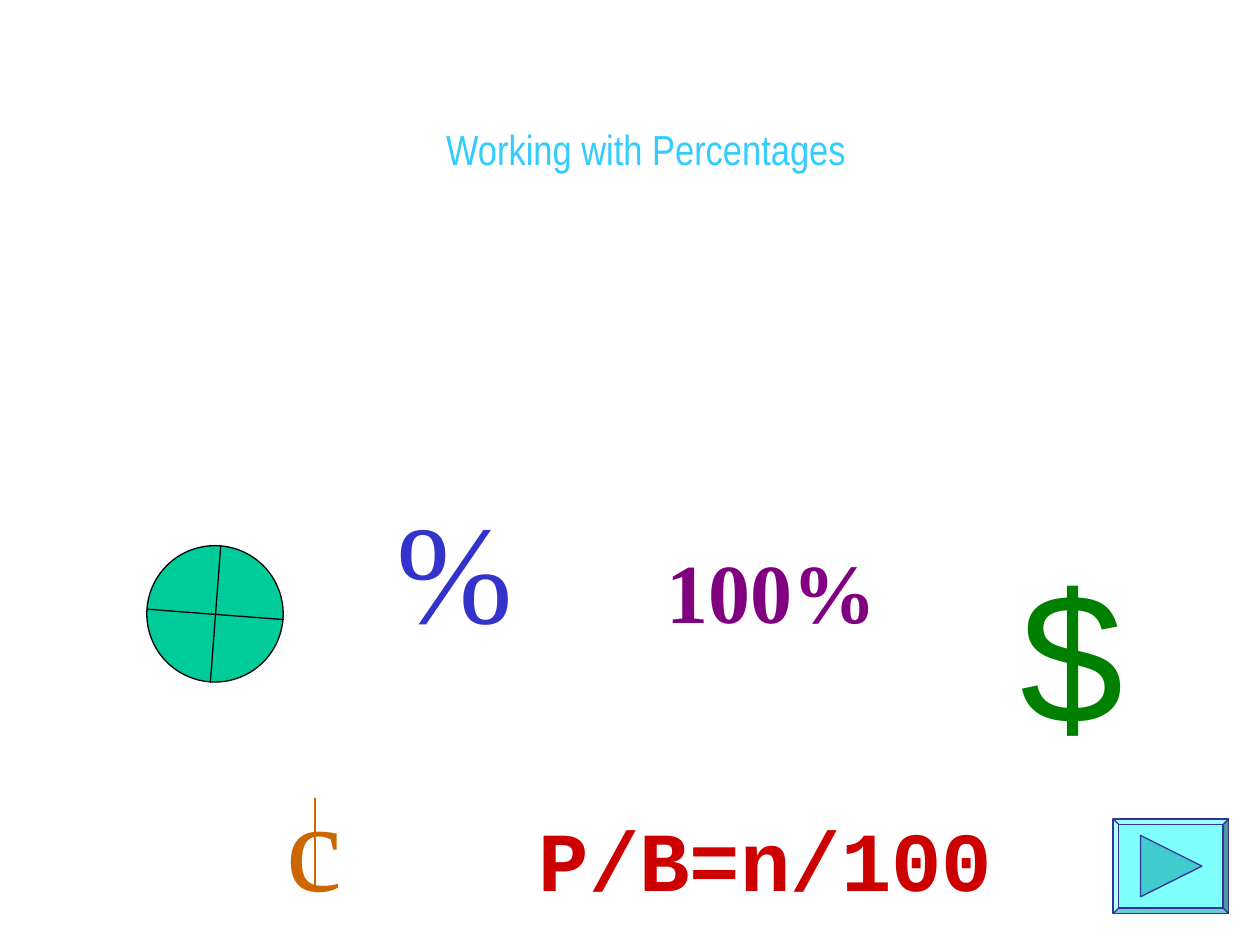
"""Build the title slide of a lesson on working with percentages."""
from lxml import etree
from pptx import Presentation, util as u
from pptx.dml.color import RGBColor
from pptx.enum import shapes, text
from pptx.oxml.ns import qn

BLACK = RGBColor(0x00, 0x00, 0x00)
SKY = RGBColor(0x33, 0xCC, 0xFF)
BLUE = RGBColor(0x33, 0x33, 0xCC)
PURPLE = RGBColor(0x80, 0x00, 0x80)
ORANGE = RGBColor(0xCC, 0x66, 0x00)
RED = RGBColor(0xCC, 0x00, 0x00)
GREEN = RGBColor(0x00, 0x80, 0x00)
TEAL = RGBColor(0x00, 0xCC, 0x99)
NAVY = RGBColor(0x33, 0x33, 0x99)
AQUA = RGBColor(0x80, 0xFF, 0xFF)
DARK_AQUA = RGBColor(0x40, 0xCC, 0xCC)


def add_run(p, content, size, font, color, bold=False):
    r = p.add_run()
    r.text = content
    r.font.size = u.Pt(size)
    r.font.name = font
    r.font.color.rgb = color
    r.font.bold = bold


def paint(sp, fill, line):
    sp.shadow.inherit = False
    sp.fill.solid()
    sp.fill.fore_color.rgb = fill
    sp.line.color.rgb = line
    sp.line.width = u.Pt(0.75)


prs = Presentation()
prs.slide_width, prs.slide_height = u.Cm(25.4), u.Cm(19.05)
s = prs.slides.add_slide(prs.slide_layouts[5])

title = s.shapes.title
title.left, title.top, title.width, title.height = u.Cm(2.96), u.Cm(2.36), u.Cm(20.12), u.Cm(5.28)
tf = title.text_frame
tf.auto_size = text.MSO_AUTO_SIZE.NONE
tf.vertical_anchor = text.MSO_ANCHOR.TOP
p = tf.paragraphs[0]
p.alignment = text.PP_ALIGN.CENTER
add_run(p, "Working with Percentages", 24, "Arial Narrow", SKY)

tf = s.shapes.add_textbox(u.Cm(4.01), u.Cm(9.63), u.Cm(17.78), u.Cm(8.6)).text_frame
tf.word_wrap = True
rows = [
    (0, (3.73, 9.17), [("%", 80, "Times New Roman", BLUE, False),
                       ("100%", 48, "Times New Roman", PURPLE, True)]),
    (65, (1.52, 6.6), [("c", 72, "Times New Roman", ORANGE, False),
                       ("P/B=n/100", 48, "Courier New", RED, True)]),
]
for i, (before, stops, runs) in enumerate(rows):
    p = tf.add_paragraph() if i else tf.paragraphs[0]
    p.space_before = u.Pt(before)
    tabs = etree.SubElement(p._p.get_or_add_pPr(), qn("a:tabLst"))
    for stop in stops:
        etree.SubElement(tabs, qn("a:tab"), pos=str(u.Cm(stop)), algn="l")
    for content, *style in runs:
        add_run(p, "\t" + content, *style)

pie = s.shapes.add_shape(shapes.MSO_SHAPE.OVAL, u.Cm(2.96), u.Cm(11), u.Cm(2.75), u.Cm(2.75))
paint(pie, TEAL, BLACK)

tf = s.shapes.add_textbox(u.Cm(20.32), u.Cm(10.72), u.Cm(2.75), u.Cm(4.4)).text_frame
tf.word_wrap = True
add_run(tf.paragraphs[0], "$", 106, "Arial", GREEN)

lines = [
    (4.45, 11, 4.24, 13.76, BLACK),
    (2.96, 12.28, 5.72, 12.49, BLACK),
    (6.35, 16.09, 6.35, 17.99, ORANGE),
]
for x1, y1, x2, y2, color in lines:
    line = s.shapes.add_connector(shapes.MSO_CONNECTOR.STRAIGHT, u.Cm(x1), u.Cm(y1), u.Cm(x2), u.Cm(y2))
    line.line.color.rgb = color
    line.line.width = u.Pt(0.75)
    etree.SubElement(line._element.spPr, qn("a:effectLst"))

button = s.shapes.add_shape(shapes.MSO_SHAPE.BEVEL, u.Cm(22.44), u.Cm(16.51), u.Cm(2.33), u.Cm(1.91))
button.adjustments[0] = 0.06
paint(button, AQUA, NAVY)

builder = s.shapes.build_freeform(u.Cm(22.99), u.Cm(16.84))
builder.add_line_segments([(u.Cm(24.23), u.Cm(17.46)), (u.Cm(22.99), u.Cm(18.08))])
paint(builder.convert_to_shape(), DARK_AQUA, NAVY)

prs.save("out.pptx")
